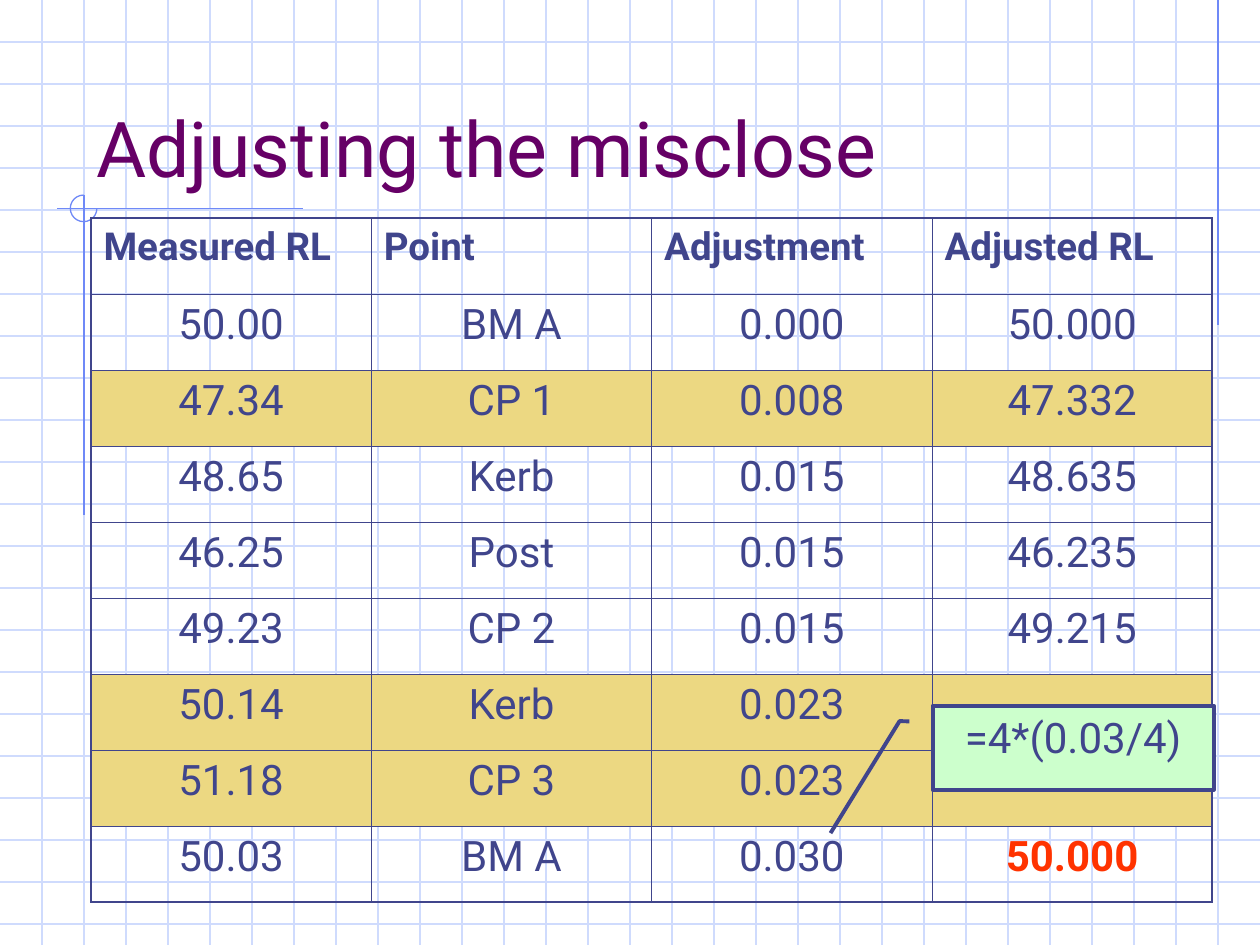
from dataclasses import dataclass

from lxml import etree
from pptx import Presentation
from pptx import util as u
from pptx.dml.color import RGBColor
from pptx.enum import shapes, text
from pptx.oxml import ns

GRID = RGBColor(0xCF, 0xDB, 0xFD)
GUIDE = RGBColor(0x6F, 0x89, 0xF7)
INK = RGBColor(0x40, 0x45, 0x8C)
PLUM = RGBColor(0x66, 0x00, 0x66)
SAND = RGBColor(0xEC, 0xD8, 0x82)
MINT = RGBColor(0xCC, 0xFF, 0xCC)
RED = RGBColor(0xFF, 0x33, 0x00)

FONT = "Roboto"
WIDTH, HEIGHT, STEP = 720, 540, 24
COLUMN_WIDTH, ROW_HEIGHT = 160.2, 43.44
THIN, THICK = 0.45, 1.08
HEADINGS = ("Measured RL", "Point", "Adjustment", "Adjusted RL")


@dataclass(frozen=True)
class Rule:
    x1: float
    y1: float
    x2: float
    y2: float
    color: RGBColor = GRID


@dataclass(frozen=True)
class Reading:
    measured: str
    point: str
    adjustment: str
    adjusted: str = ""
    shaded: bool = False
    closing: bool = False


READINGS = (
    Reading("50.00", "BM A", "0.000", "50.000"),
    Reading("47.34", "CP 1", "0.008", "47.332", shaded=True),
    Reading("48.65", "Kerb", "0.015", "48.635"),
    Reading("46.25", "Post", "0.015", "46.235"),
    Reading("49.23", "CP 2", "0.015", "49.215"),
    Reading("50.14", "Kerb", "0.023", shaded=True),
    Reading("51.18", "CP 3", "0.023", shaded=True),
    Reading("50.03", "BM A", "0.030", "50.000", closing=True),
)


def write(frame, words: str, *, size: float = 24, color: RGBColor = INK,
          bold: bool = False, align=text.PP_ALIGN.CENTER,
          anchor=text.MSO_ANCHOR.TOP) -> None:
    frame.word_wrap = True
    frame.vertical_anchor = anchor
    paragraph = frame.paragraphs[0]
    paragraph.alignment = align
    run = paragraph.add_run()
    run.text = words
    run.font.name = FONT
    run.font.size = u.Pt(size)
    run.font.bold = bold
    run.font.color.rgb = color


def draw_rule(slide, rule: Rule) -> None:
    line = slide.shapes.add_connector(
        shapes.MSO_CONNECTOR.STRAIGHT,
        u.Pt(rule.x1), u.Pt(rule.y1), u.Pt(rule.x2), u.Pt(rule.y2))
    line.line.color.rgb = rule.color
    line.line.width = u.Pt(0.75)
    etree.SubElement(line._element.spPr, ns.qn("a:effectLst"))


def draw_background(slide) -> None:
    rows = [Rule(0, y, WIDTH, y) for y in range(STEP, HEIGHT, STEP)]
    columns = [Rule(x, 0, x, HEIGHT) for x in range(STEP, WIDTH, STEP)]
    guides = [
        Rule(696, 0, 696, 186, GUIDE),
        Rule(173, 119.3, 32.5, 119.3, GUIDE),
        Rule(48, 111.6, 48, 294.5, GUIDE),
    ]
    for rule in rows + columns + guides:
        draw_rule(slide, rule)
    arc = slide.shapes.add_shape(
        shapes.MSO_SHAPE.ARC, u.Pt(40.2), u.Pt(111.5), u.Pt(15.2), u.Pt(15.2))
    arc.adjustments[0] = 0
    arc.adjustments[1] = 162
    arc.shadow.inherit = False
    arc.fill.background()
    arc.line.color.rgb = GUIDE
    arc.line.width = u.Pt(0.75)


def set_border(cell, side: str, width: float) -> None:
    border = etree.SubElement(cell._tc.get_or_add_tcPr(), ns.qn(f"a:ln{side}"),
                              w=str(int(u.Pt(width))))
    fill = etree.SubElement(border, ns.qn("a:solidFill"))
    etree.SubElement(fill, ns.qn("a:srgbClr"), val=str(INK))


def style_cell(cell, row: int, column: int, shaded: bool) -> None:
    outer = {"L": column == 0, "R": column == len(HEADINGS) - 1,
             "T": row == 0, "B": row == len(READINGS)}
    for side, on_edge in outer.items():
        set_border(cell, side, THICK if on_edge else THIN)
    if shaded:
        cell.fill.solid()
        cell.fill.fore_color.rgb = SAND
    else:
        cell.fill.background()


def draw_table(slide) -> None:
    row_count, column_count = len(READINGS) + 1, len(HEADINGS)
    levels = slide.shapes.add_table(
        row_count, column_count, u.Pt(52), u.Pt(124.6),
        u.Pt(COLUMN_WIDTH * column_count), u.Pt(ROW_HEIGHT * row_count)).table
    levels.first_row = levels.horz_banding = False
    for column in levels.columns:
        column.width = u.Pt(COLUMN_WIDTH)
    for row in levels.rows:
        row.height = u.Pt(ROW_HEIGHT)
    for c, heading in enumerate(HEADINGS):
        cell = levels.cell(0, c)
        style_cell(cell, 0, c, False)
        write(cell.text_frame, heading, size=22, bold=True,
              align=text.PP_ALIGN.LEFT)
    for r, reading in enumerate(READINGS, 1):
        values = (reading.measured, reading.point,
                  reading.adjustment, reading.adjusted)
        for c, value in enumerate(values):
            cell = levels.cell(r, c)
            style_cell(cell, r, c, reading.shaded)
            final = reading.closing and c == column_count - 1
            if value:
                write(cell.text_frame, value, bold=final,
                      color=RED if final else INK)


def draw_callout(slide) -> None:
    formula = slide.shapes.add_shape(
        shapes.MSO_SHAPE.LINE_CALLOUT_2,
        u.Pt(533), u.Pt(403.2), u.Pt(160.5), u.Pt(48.2))
    for i, value in enumerate((0.188, -0.083, 0.185, -0.118, 1.513, -0.364)):
        formula.adjustments[i] = value
    formula.shadow.inherit = False
    formula.fill.solid()
    formula.fill.fore_color.rgb = MINT
    formula.line.color.rgb = INK
    formula.line.width = u.Pt(2.25)
    write(formula.text_frame, "=4*(0.03/4)")


def main() -> None:
    deck = Presentation()
    deck.slide_width, deck.slide_height = u.Pt(WIDTH), u.Pt(HEIGHT)
    slide = deck.slides.add_slide(deck.slide_layouts[6])
    draw_background(slide)
    title = slide.shapes.add_textbox(u.Pt(48), u.Pt(24), u.Pt(612), u.Pt(90))
    write(title.text_frame, "Adjusting the misclose", size=44, color=PLUM,
          align=text.PP_ALIGN.LEFT, anchor=text.MSO_ANCHOR.BOTTOM)
    draw_table(slide)
    draw_callout(slide)
    deck.save("out.pptx")


if __name__ == "__main__":
    main()
